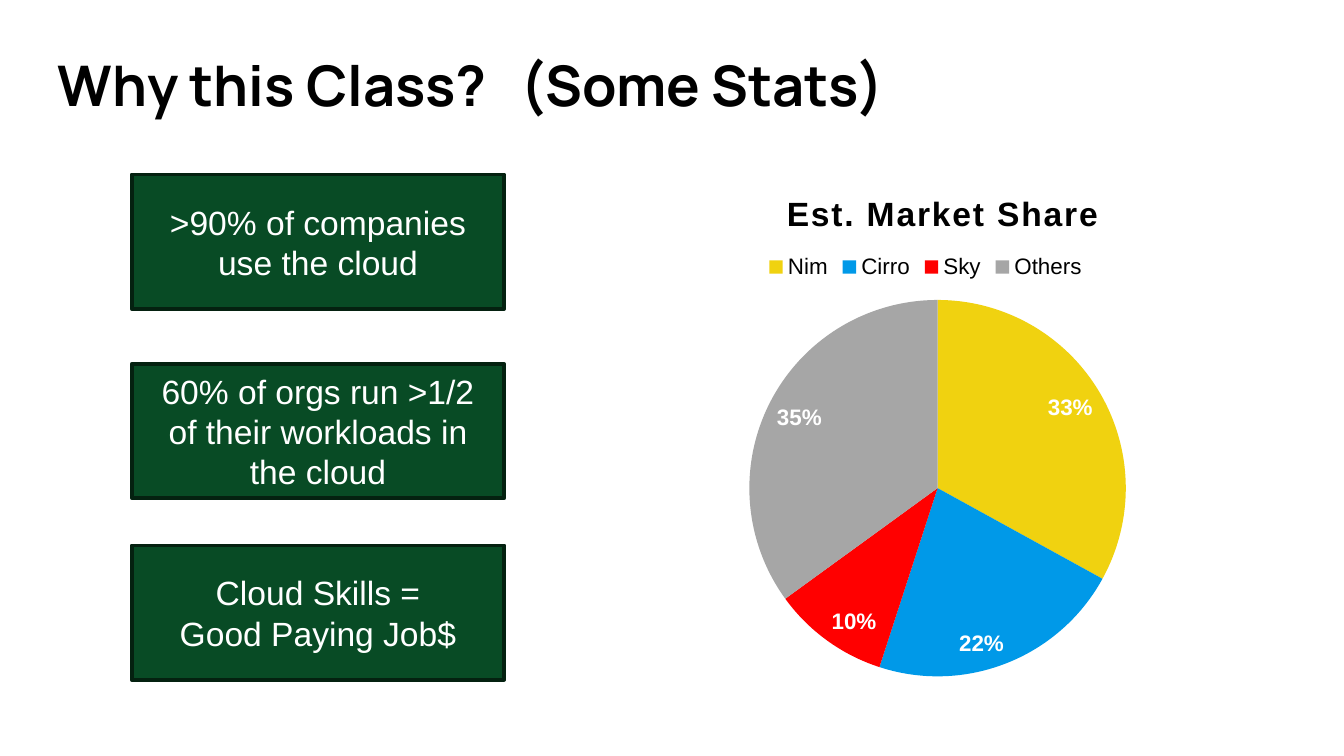
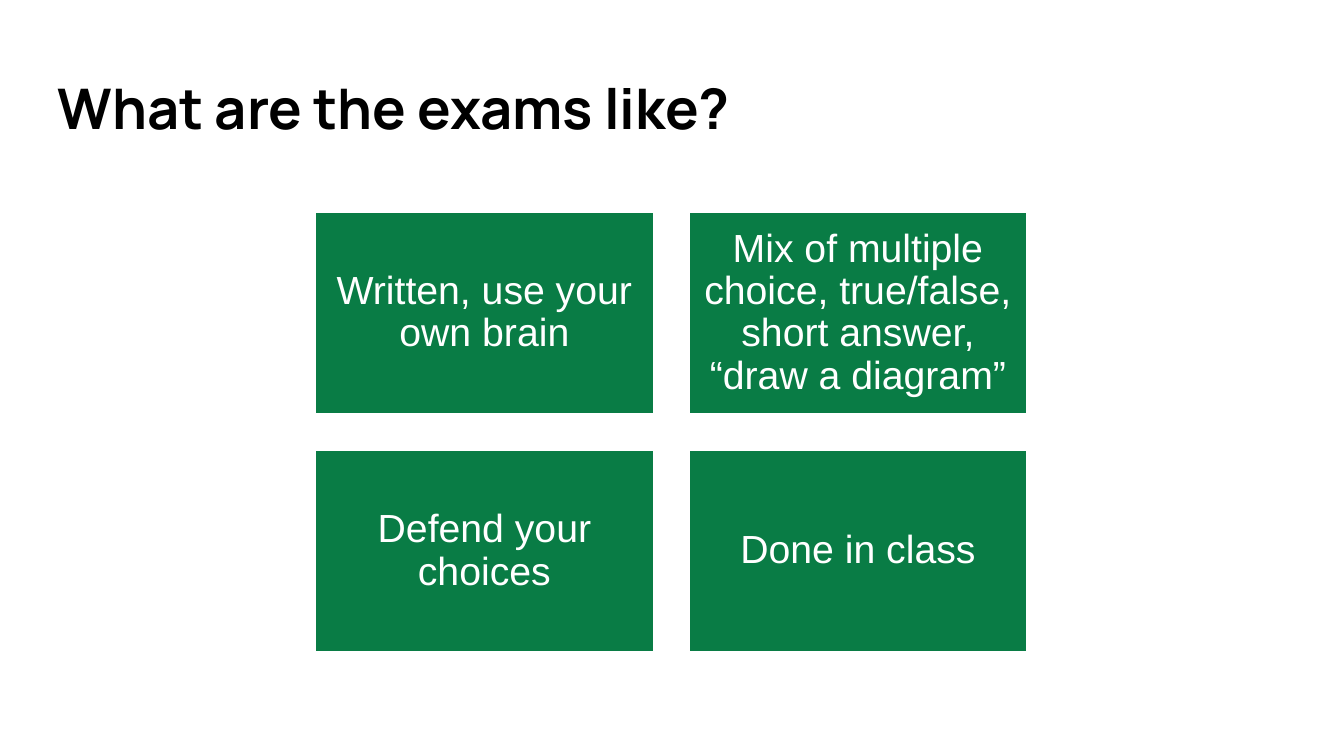
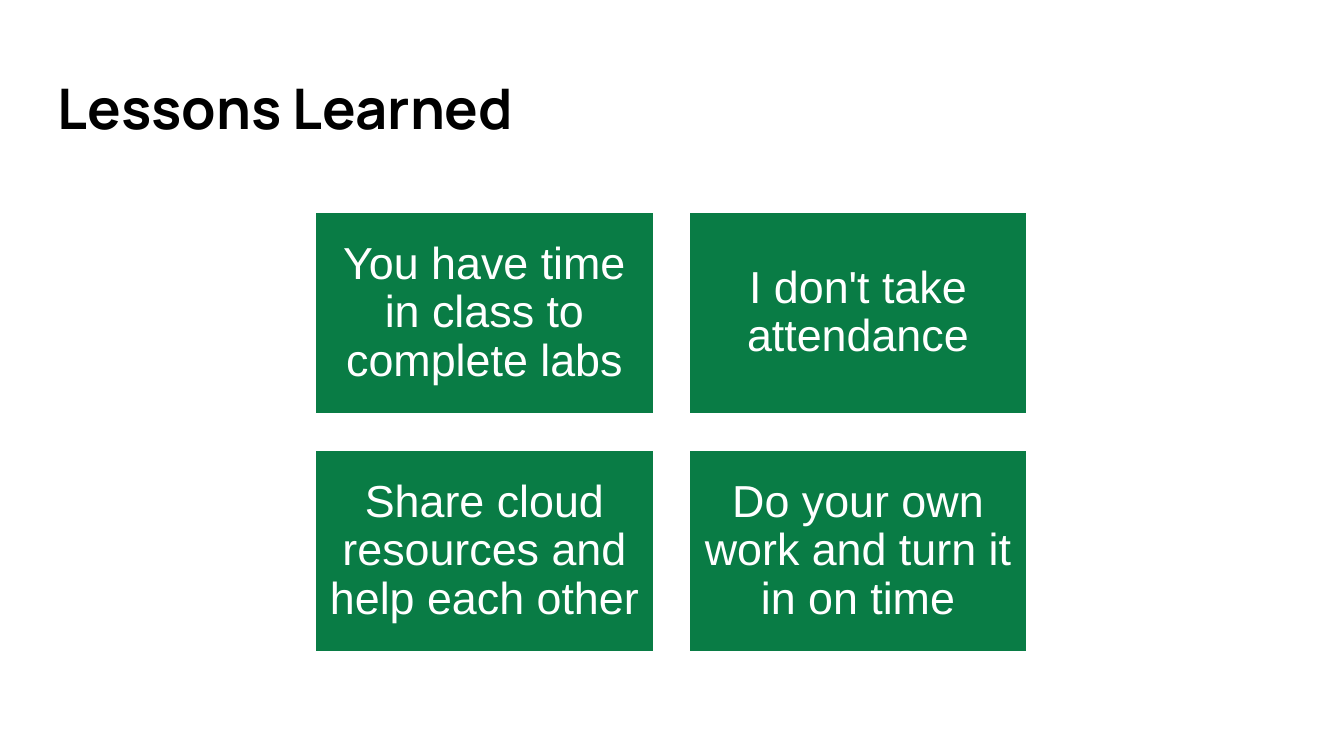
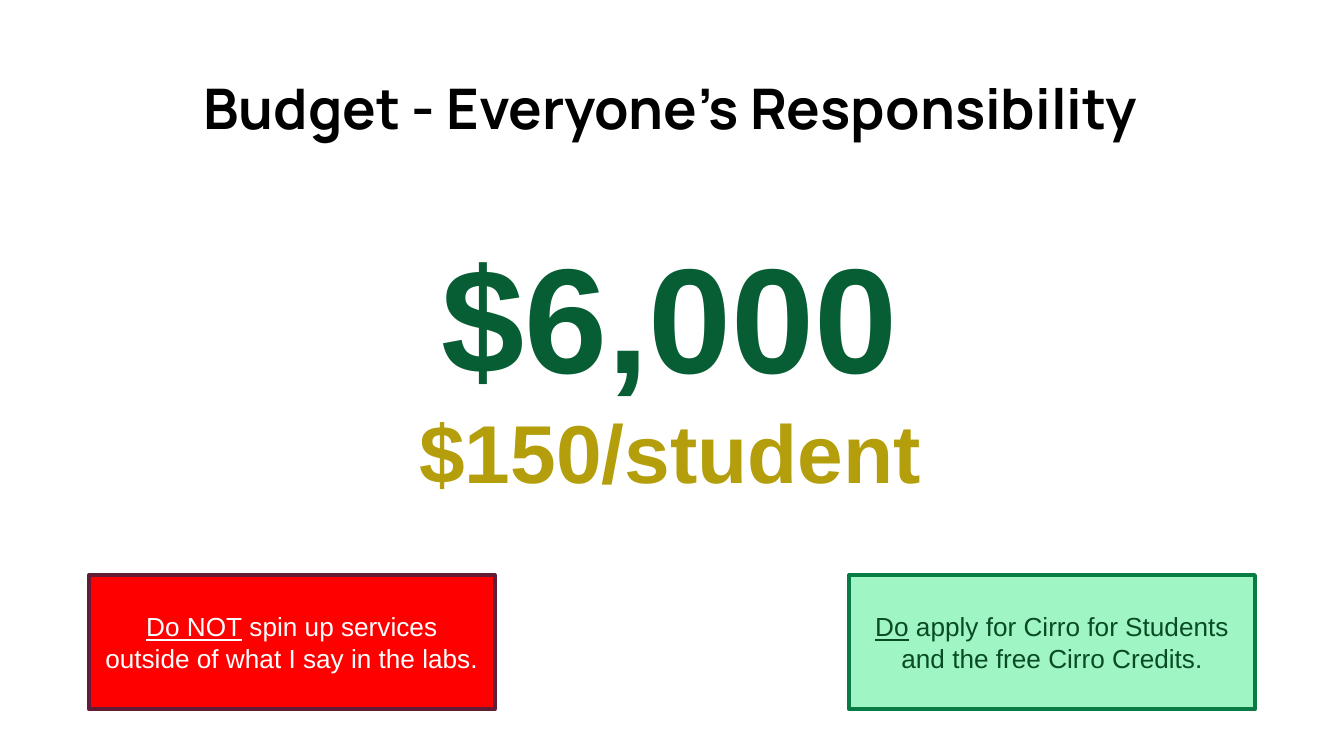
import pptx
import pptx.chart.data
import pptx.dml.color
import pptx.enum.chart
import pptx.enum.shapes
import pptx.enum.text
import pptx.oxml
import pptx.oxml.ns
import pptx.util
from pptx.util import Cm, Pt

BLACK = "000000"
WHITE = "FFFFFF"
DARK_GREEN = "084B25"
GREEN = "097C45"
RED = "FF0000"
GOLD = "B59E0B"
BODY_FONT = "Arial"
TITLE_FONT = "Manrope"
CENTER = pptx.enum.text.PP_ALIGN.CENTER
LEFT = pptx.enum.text.PP_ALIGN.LEFT


def rgb(hex_string):
    return pptx.dml.color.RGBColor.from_string(hex_string)


def add_text_shape(slide, position, text, size, colour, fill=None, line=None,
                   font=BODY_FONT, bold=False, align=CENTER, wrap=True, line_spacing=None):
    """Add a filled rectangle, or a plain text box when there is no fill."""
    lengths = [Cm(value) for value in position]
    if fill:
        shape = slide.shapes.add_shape(pptx.enum.shapes.MSO_SHAPE.RECTANGLE, *lengths)
        shape.shadow.inherit = False
        shape.fill.solid()
        shape.fill.fore_color.rgb = rgb(fill)
        shape.line.color.rgb = rgb(line)
        shape.line.width = Pt(2)
        shape.text_frame.vertical_anchor = pptx.enum.text.MSO_ANCHOR.MIDDLE
    else:
        shape = slide.shapes.add_textbox(*lengths)
    shape.text_frame.word_wrap = wrap
    shape.text_frame.text = text
    for paragraph in shape.text_frame.paragraphs:
        paragraph.alignment = align
        paragraph.line_spacing = line_spacing
        for run in paragraph.runs:
            run.font.name = font
            run.font.size = Pt(size)
            run.font.bold = bold
            run.font.color.rgb = rgb(colour)
    return shape


presentation = pptx.Presentation()
presentation.slide_width = Cm(25.4)
presentation.slide_height = Cm(14.29)

# Slides with their titles
titles = [
    ("Why this Class?\t(Some Stats)", 0.71, LEFT),
    ("What are the exams like?", 1.14, LEFT),
    ("Lessons Learned", 1.14, LEFT),
    ("Budget - Everyone’s Responsibility", 1.14, CENTER),
]
slides = []
for text, top, align in titles:
    slide = presentation.slides.add_slide(presentation.slide_layouts[6])
    title = add_text_shape(slide, (0.84, top, 23.67, 1.78), text, 30, BLACK,
                           font=TITLE_FONT, bold=True, align=align)
    title.text_frame.margin_top = title.text_frame.margin_bottom = Cm(0.25)
    if "\t" in text:
        properties = title.text_frame.paragraphs[0]._p.get_or_add_pPr()
        properties.append(pptx.oxml.parse_xml(
            f'<a:tabLst {pptx.oxml.ns.nsdecls("a")}><a:tab pos="{Cm(8.75)}" algn="l"/></a:tabLst>'))
    slides.append(slide)
stats_slide, exams_slide, lessons_slide, budget_slide = slides

# Statistics: three boxes on the left
stats = [
    (3.3, ">90% of companies use the cloud"),
    (6.88, "60% of orgs run >1/2 of their workloads in the cloud"),
    (10.31, "Cloud Skills =\nGood Paying Job$"),
]
for top, text in stats:
    add_text_shape(stats_slide, (2.49, top, 7.04, 2.54), text, 18, WHITE, DARK_GREEN, "042110")

# Statistics: market share pie
shares = [("Nim", 33, "F0D210"), ("Cirro", 22, "0099E8"), ("Sky", 10, RED), ("Others", 35, "A6A6A6")]
chart_data = pptx.chart.data.CategoryChartData()
chart_data.categories = [name for name, value, colour in shares]
chart_data.add_series("Series 1", [value for name, value, colour in shares])
chart = stats_slide.shapes.add_chart(
    pptx.enum.chart.XL_CHART_TYPE.PIE, Cm(11.79), Cm(3), Cm(11.86), Cm(10.13), chart_data).chart
chart.font.name = BODY_FONT
chart.font.size = Pt(10)
chart.font.color.rgb = rgb(DARK_GREEN)

chart.chart_title.text_frame.text = "Est. Market Share"
title_run = chart.chart_title.text_frame.paragraphs[0].runs[0]
title_run.font.name = BODY_FONT
title_run.font.size = Pt(18)
title_run.font.bold = True
title_run.font.color.rgb = rgb(BLACK)
title_run._r.get_or_add_rPr().set("spc", "100")

chart.has_legend = True
chart.legend.position = pptx.enum.chart.XL_LEGEND_POSITION.TOP
chart.legend.include_in_layout = False
chart.legend.font.name = BODY_FONT
chart.legend.font.size = Pt(12)
chart.legend.font.color.rgb = rgb(BLACK)

plot = chart.plots[0]
plot.vary_by_categories = True
for index, (name, value, colour) in enumerate(shares):
    point_fill = plot.series[0].points[index].format.fill
    point_fill.solid()
    point_fill.fore_color.rgb = rgb(colour)
plot.has_data_labels = True
labels = plot.data_labels
labels.show_percentage = True
labels.show_value = False
labels.position = pptx.enum.chart.XL_LABEL_POSITION.INSIDE_END
labels.font.name = BODY_FONT
labels.font.size = Pt(12)
labels.font.bold = True
labels.font.color.rgb = rgb(WHITE)

# Places of the chart parts, as shares of the chart area
chart_layouts = [
    ("c:title", 1, {"x": 0.25, "y": 0.05}),
    ("c:legend", 1, {"x": 0.22, "y": 0.17}),
    ("c:plotArea", 0, {"x": 0.2, "y": 0.26, "w": 0.6, "h": 0.71}),
]
for tag, child_index, places in chart_layouts:
    part = chart.element.xpath(f"c:chart/{tag}")[0]
    for old_layout in part.xpath("c:layout"):
        part.remove(old_layout)
    target = '<c:layoutTarget val="inner"/>' if tag == "c:plotArea" else ""
    modes = "".join(f'<c:{key}Mode val="edge"/>' for key in "xy")
    values = "".join(f'<c:{key} val="{value}"/>' for key, value in places.items())
    part.insert(child_index, pptx.oxml.parse_xml(
        f'<c:layout {pptx.oxml.ns.nsdecls("c")}><c:manualLayout>'
        f"{target}{modes}{values}</c:manualLayout></c:layout>"))

# Exams and lessons: grids of two by two cards
card_grids = [
    (exams_slide, 21, 0.23, [
        "Written, use your own brain",
        "Mix of multiple choice, true/false, short answer, “draw a diagram”",
        "Defend your choices",
        "Done in class",
    ]),
    (lessons_slide, 24, 0.25, [
        "You have time in class to complete labs",
        "I don't take attendance",
        "Share cloud resources and help each other",
        "Do your own work and turn it in on time",
    ]),
]
for slide, size, margin, texts in card_grids:
    for index, text in enumerate(texts):
        row, column = divmod(index, 2)
        card = add_text_shape(slide, (5.94 + 7.06 * column, 3.99 + 4.5 * row, 6.43, 3.86),
                              text, size, WHITE, GREEN, WHITE, line_spacing=0.9)
        frame = card.text_frame
        frame.margin_left = frame.margin_right = Cm(margin)
        frame.margin_top = frame.margin_bottom = Cm(margin)

# Budget: amounts
add_text_shape(budget_slide, (8.05, 4.11, 9.22, 3.68), "$6,000", 80, "075D34", bold=True, wrap=False)
add_text_shape(budget_slide, (7.62, 7.47, 10.11, 2.13), "$150/student", 44, GOLD, bold=True, wrap=False)

# Budget: rules with an underlined start
rules = [
    (1.68, "Do NOT", " spin up services outside of what I say in the labs.", WHITE, RED, "631C35"),
    (16.05, "Do", " apply for Cirro for Students and the free Cirro Credits.", DARK_GREEN, "9FF5C4", GREEN),
]
for left, start, rest, colour, fill, line in rules:
    rule = add_text_shape(budget_slide, (left, 10.87, 7.67, 2.54), start, 14, colour, fill, line)
    paragraph = rule.text_frame.paragraphs[0]
    paragraph.runs[0].font.underline = True
    run = paragraph.add_run()
    run.text = rest
    run.font.name = BODY_FONT
    run.font.size = Pt(14)
    run.font.color.rgb = rgb(colour)

presentation.save("out.pptx")
